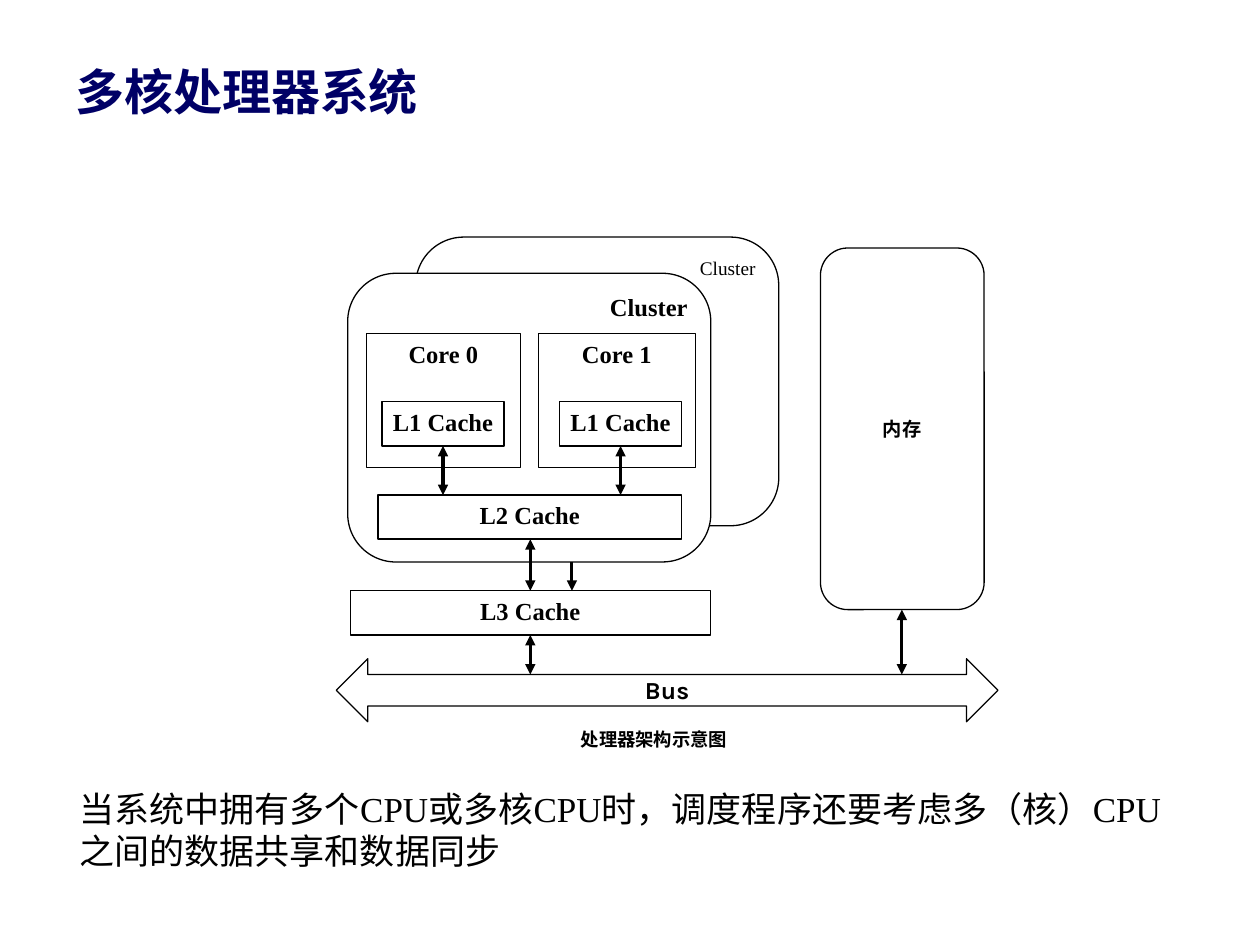
from dataclasses import dataclass

from lxml.etree import SubElement
from pptx import Presentation
from pptx.dml.color import RGBColor
from pptx.enum.shapes import MSO_CONNECTOR, MSO_SHAPE
from pptx.enum.text import MSO_ANCHOR, MSO_AUTO_SIZE, PP_ALIGN
from pptx.oxml.ns import qn
from pptx.slide import Slide
from pptx.text.text import TextFrame
from pptx.util import Cm, Pt

NAVY = RGBColor(0x00, 0x00, 0x66)
BLACK = RGBColor(0x00, 0x00, 0x00)
WHITE = RGBColor(0xFF, 0xFF, 0xFF)
SERIF = "Times New Roman"
SANS = "Karla"

CACHE_HEIGHT = 0.89
CLUSTER_SIZE = (7.32, 5.82)
L1_TOP, L2_TOP, L3_TOP = 8.1, 9.98, 11.91
L1_LEFTS = (7.7, 11.28)
L1_WIDTH = 2.46
CORE_TOP, CORE_HEIGHT = 6.73, 2.69
FRONT_CLUSTER_TOP = 5.51
MEMORY_TOP, MEMORY_HEIGHT = 5.0, 7.29
BUS_TOP, BUS_HEIGHT = 13.28, 1.27
BUS_EDGE = BUS_TOP + BUS_HEIGHT / 4
CENTRE = 10.69


@dataclass
class Block:
    """A labelled outline; lengths are in centimetres."""
    label: str
    left: float
    top: float
    width: float
    height: float
    kind: MSO_SHAPE = MSO_SHAPE.RECTANGLE
    size: float = 14
    bold: bool = True
    font: str = SERIF
    align: PP_ALIGN = PP_ALIGN.CENTER
    anchor: MSO_ANCHOR = MSO_ANCHOR.TOP
    filled: bool = False


@dataclass
class Link:
    """A vertical arrow; lengths are in centimetres."""
    x: float
    top: float
    bottom: float
    two_way: bool = True


BLOCKS = [
    Block("Bus", 6.78, BUS_TOP, 13.34, BUS_HEIGHT, MSO_SHAPE.LEFT_RIGHT_ARROW,
          font=SANS, anchor=MSO_ANCHOR.MIDDLE, filled=True),
    Block("L3 Cache", 7.06, L3_TOP, 7.26, CACHE_HEIGHT),
    Block("Cluster", 8.38, 4.78, *CLUSTER_SIZE, MSO_SHAPE.ROUNDED_RECTANGLE,
          size=11, bold=False, align=PP_ALIGN.RIGHT),
    Block("Cluster", 7.01, FRONT_CLUSTER_TOP, *CLUSTER_SIZE,
          MSO_SHAPE.ROUNDED_RECTANGLE, align=PP_ALIGN.RIGHT, filled=True),
    Block("L2 Cache", 7.62, L2_TOP, 6.12, CACHE_HEIGHT),
    Block("Core 0", 7.39, CORE_TOP, 3.1, CORE_HEIGHT),
    Block("Core 1", 10.85, CORE_TOP, 3.17, CORE_HEIGHT),
    *(Block("L1 Cache", left, L1_TOP, L1_WIDTH, CACHE_HEIGHT) for left in L1_LEFTS),
    Block("内存", 16.54, MEMORY_TOP, 3.3, MEMORY_HEIGHT,
          MSO_SHAPE.ROUNDED_RECTANGLE, size=11, anchor=MSO_ANCHOR.MIDDLE),
]

LINKS = [
    *(Link(left + L1_WIDTH / 2, L1_TOP + CACHE_HEIGHT, L2_TOP) for left in L1_LEFTS),
    Link(CENTRE, L2_TOP + CACHE_HEIGHT, L3_TOP),
    Link(CENTRE, L3_TOP + CACHE_HEIGHT, BUS_EDGE),
    Link(11.53, FRONT_CLUSTER_TOP + CLUSTER_SIZE[1], L3_TOP, two_way=False),
    Link(18.18, MEMORY_TOP + MEMORY_HEIGHT, BUS_EDGE),
]


def place(shape, left: float, top: float, width: float, height: float) -> None:
    shape.left, shape.top = Cm(left), Cm(top)
    shape.width, shape.height = Cm(width), Cm(height)


def set_margins(text_frame: TextFrame, horizontal: float, vertical: float) -> None:
    text_frame.margin_left = text_frame.margin_right = Cm(horizontal)
    text_frame.margin_top = text_frame.margin_bottom = Cm(vertical)


def write(text_frame: TextFrame, text: str, size: float, font: str = SERIF,
          bold: bool = False, color: RGBColor = BLACK,
          align: PP_ALIGN = PP_ALIGN.LEFT) -> None:
    text_frame.text = text
    text_frame.word_wrap = True
    text_frame.auto_size = MSO_AUTO_SIZE.NONE
    paragraph = text_frame.paragraphs[0]
    paragraph.alignment = align
    paragraph.space_before = Pt(0)
    for run in paragraph.runs:
        run.font.name = font
        run.font.size = Pt(size)
        run.font.bold = bold
        run.font.color.rgb = color


def draw_block(slide: Slide, block: Block) -> None:
    shape = slide.shapes.add_shape(block.kind, Cm(block.left), Cm(block.top),
                                   Cm(block.width), Cm(block.height))
    shape.shadow.inherit = False
    if block.filled:
        shape.fill.solid()
        shape.fill.fore_color.rgb = WHITE
    else:
        shape.fill.background()
    shape.line.color.rgb = BLACK
    shape.line.width = Pt(0.75)
    set_margins(shape.text_frame, 0.18, 0.1)
    shape.text_frame.vertical_anchor = block.anchor
    write(shape.text_frame, block.label, block.size, block.font, block.bold,
          align=block.align)


def draw_link(slide: Slide, link: Link) -> None:
    connector = slide.shapes.add_connector(
        MSO_CONNECTOR.STRAIGHT, Cm(link.x), Cm(link.top), Cm(link.x), Cm(link.bottom))
    connector.line.color.rgb = BLACK
    connector.line.width = Pt(1.75)
    properties = connector.line._get_or_add_ln()
    for end in ("a:headEnd", "a:tailEnd") if link.two_way else ("a:tailEnd",):
        SubElement(properties, qn(end), type="triangle")
    SubElement(connector._element.spPr, qn("a:effectLst"))


def main() -> None:
    presentation = Presentation()
    presentation.slide_width, presentation.slide_height = Cm(25.4), Cm(19.05)
    slide = presentation.slides.add_slide(presentation.slide_layouts[1])

    title = slide.shapes.title
    place(title, 1.52, 1.24, 22.35, 1.37)
    set_margins(title.text_frame, 0, 0)
    title.text_frame.vertical_anchor = MSO_ANCHOR.TOP
    write(title.text_frame, "多核处理器系统", 28, SANS, True, NAVY)

    for block in BLOCKS:
        draw_block(slide, block)
    for link in LINKS:
        draw_link(slide, link)

    caption = slide.shapes.add_textbox(Cm(11.53), Cm(14.58), Cm(4.04), Cm(0.66))
    set_margins(caption.text_frame, 0.18, 0.1)
    caption.text_frame.vertical_anchor = MSO_ANCHOR.MIDDLE
    write(caption.text_frame, "处理器架构示意图", 10.5, bold=True)

    body = slide.placeholders[1]
    place(body, 1.35, 15.75, 22.35, 1.96)
    write(body.text_frame,
          "当系统中拥有多个CPU或多核CPU时，调度程序还要考虑多（核）CPU之间的数据共享和数据同步",
          20)
    paragraph_properties = body.text_frame.paragraphs[0]._p.get_or_add_pPr()
    paragraph_properties.set("marL", "0")
    paragraph_properties.set("indent", "0")
    SubElement(paragraph_properties, qn("a:buNone"))

    presentation.save("out.pptx")


if __name__ == "__main__":
    main()
